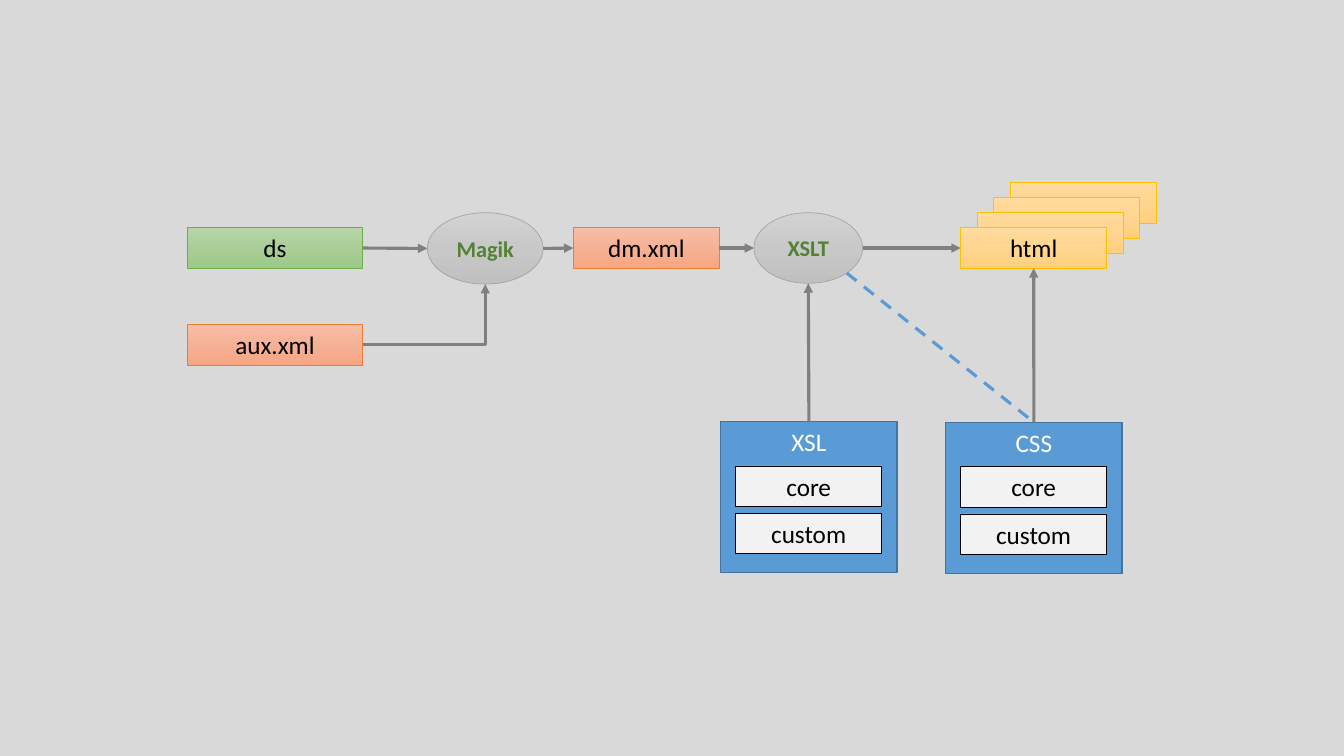
"""Build the flow slide from data sources through Magik and XSLT to html pages."""
from copy import deepcopy
from dataclasses import dataclass

from lxml import etree
from pptx import Presentation
from pptx import util as u
from pptx.dml import color
from pptx.enum import dml, shapes, text
from pptx.oxml import ns
from pptx.shapes.autoshape import Shape

COLORS = {
    "background": "D9D9D9", "arrow": "808080", "link": "5B9BD5",
    "black": "000000", "white": "FFFFFF", "process": "548235",
}
PAINTS = {
    "source": (["B5D5A7", "AACE9A", "9CC987"], "70AD47"),
    "xml": (["F7BDA5", "F5B196", "F8A582"], "ED7D31"),
    "process": (["D2D2D2", "C8C8C8", "C0C0C0"], "A5A5A5"),
    "page": (["FFDB9E", "FFD590", "FFD07C"], "FFC000"),
    "sheet": (["5B9BD5"], "43739E"),
    "part": (["F2F2F2"], "000000"),
}
LABEL = {"name": "Calibri", "size": u.Pt(18), "bold": False}
PROCESS_LABEL = LABEL | {"size": u.Pt(16), "bold": True}
FRAME = {"word_wrap": True, "margin_left": 0, "margin_right": 0,
         "vertical_anchor": text.MSO_ANCHOR.TOP}
PROCESS_FRAME = FRAME | {"vertical_anchor": text.MSO_ANCHOR.MIDDLE}

BAR_HEIGHT, BAR_WIDTH, INPUT_WIDTH = 1.02, 3.68, 4.42
ROW_TOP, PROCESS_TOP, INPUT_LEFT = 5.74, 5.36, 4.72
PAGE_LEFT, PAGE_STEP_X, PAGE_STEP_Y, BACK_PAGES = 24.21, 0.415, 0.38, 3
PART_INSET, PART_TOP, PART_STEP = 0.38, 1.12, 1.19
LEFT, RIGHT, TOP, BOTTOM = (0, 0.5), (1, 0.5), (0.5, 0), (0.5, 1)
LOWER_RIGHT = (0.854, 0.854)


@dataclass
class Node:
    label: str
    paint: str
    left: float
    top: float
    width: float = BAR_WIDTH
    height: float = BAR_HEIGHT
    ink: str = "black"

    def point(self, side: tuple[float, float]) -> tuple[u.Cm, u.Cm]:
        return (u.Cm(self.left + self.width * side[0]),
                u.Cm(self.top + self.height * side[1]))


@dataclass
class Flow:
    start: Node
    start_side: tuple[float, float]
    end: Node
    end_side: tuple[float, float]
    bent: bool = False
    dashed: bool = False


def rgb(hex_value: str) -> color.RGBColor:
    return color.RGBColor.from_string(hex_value)


def set_all(target: object, values: dict) -> None:
    for attribute, value in values.items():
        setattr(target, attribute, value)


def fill_node(box: Shape, hexes: list[str]) -> None:
    if len(hexes) == 1:
        box.fill.solid()
        box.fill.fore_color.rgb = rgb(hexes[0])
        return
    box.fill.gradient()
    box.fill.gradient_angle = 270
    stop_list = next(box._element.spPr.iter(ns.qn("a:gsLst")))
    stop_list.append(deepcopy(stop_list[-1]))
    for stop, position, hex_value in zip(box.fill.gradient_stops, (0, 0.5, 1), hexes):
        stop.position = position
        stop.color.rgb = rgb(hex_value)


def draw_node(node: Node) -> None:
    is_process = node.paint == "process"
    preset = shapes.MSO_SHAPE.OVAL if is_process else shapes.MSO_SHAPE.RECTANGLE
    box = slide.shapes.add_shape(
        preset, *map(u.Cm, (node.left, node.top, node.width, node.height)))
    hexes, outline = PAINTS[node.paint]
    box.shadow.inherit = False
    fill_node(box, hexes)
    box.line.color.rgb = rgb(outline)
    box.line.width = u.Pt(1 if node.paint == "sheet" else 0.5)
    if not node.label:
        return
    set_all(box.text_frame, PROCESS_FRAME if is_process else FRAME)
    paragraph = box.text_frame.paragraphs[0]
    paragraph.alignment = text.PP_ALIGN.CENTER
    run = paragraph.add_run()
    run.text = node.label
    set_all(run.font, PROCESS_LABEL if is_process else LABEL)
    run.font.color.rgb = rgb(COLORS[node.ink])


def draw_flow(flow: Flow) -> None:
    kind = shapes.MSO_CONNECTOR.ELBOW if flow.bent else shapes.MSO_CONNECTOR.STRAIGHT
    arrow = slide.shapes.add_connector(
        kind, *flow.start.point(flow.start_side), *flow.end.point(flow.end_side))
    arrow.line.width = u.Pt(2.25)
    arrow.line.color.rgb = rgb(COLORS["link" if flow.dashed else "arrow"])
    properties = arrow._element.spPr
    if flow.bent:
        properties.find(ns.qn("a:prstGeom")).set("prst", "bentConnector2")
    if flow.dashed:
        arrow.line.dash_style = dml.MSO_LINE.DASH
    else:
        etree.SubElement(properties.find(ns.qn("a:ln")), ns.qn("a:tailEnd"), type="triangle")
    etree.SubElement(properties, ns.qn("a:effectLst"))


def sheet_parts(sheet: Node) -> list[Node]:
    return [Node(label, "part", sheet.left + PART_INSET,
                 sheet.top + PART_TOP + index * PART_STEP)
            for index, label in enumerate(("core", "custom"))]


presentation = Presentation()
presentation.slide_width, presentation.slide_height = u.Cm(33.87), u.Cm(19.05)
slide = presentation.slides.add_slide(presentation.slide_layouts[6])
slide.background.fill.solid()
slide.background.fill.fore_color.rgb = rgb(COLORS["background"])

ds = Node("ds", "source", INPUT_LEFT, ROW_TOP, INPUT_WIDTH)
aux = Node("aux.xml", "xml", INPUT_LEFT, 8.18, INPUT_WIDTH)
magik = Node("Magik", "process", 10.77, PROCESS_TOP, 2.92, 1.8, "process")
dm = Node("dm.xml", "xml", 14.45, ROW_TOP)
xslt = Node("XSLT", "process", 19, PROCESS_TOP, 2.74, 1.78, "process")
html = Node("html", "page", PAGE_LEFT, ROW_TOP)
xsl = Node("XSL", "sheet", 18.16, 10.62, 4.45, 3.81, "white")
css = Node("CSS", "sheet", 23.83, 10.64, 4.45, 3.81, "white")
back_pages = [Node("", "page", PAGE_LEFT + depth * PAGE_STEP_X, ROW_TOP - depth * PAGE_STEP_Y)
              for depth in range(BACK_PAGES, 0, -1)]

for node in [ds, aux, magik, dm, xslt, *back_pages, html,
             xsl, *sheet_parts(xsl), css, *sheet_parts(css)]:
    draw_node(node)

for flow in [
    Flow(ds, RIGHT, magik, LEFT),
    Flow(aux, RIGHT, magik, BOTTOM, bent=True),
    Flow(magik, RIGHT, dm, LEFT),
    Flow(dm, RIGHT, xslt, LEFT),
    Flow(xslt, RIGHT, html, LEFT),
    Flow(xsl, TOP, xslt, BOTTOM),
    Flow(css, TOP, html, BOTTOM),
    Flow(xslt, LOWER_RIGHT, css, TOP, dashed=True),
]:
    draw_flow(flow)

presentation.save("out.pptx")
